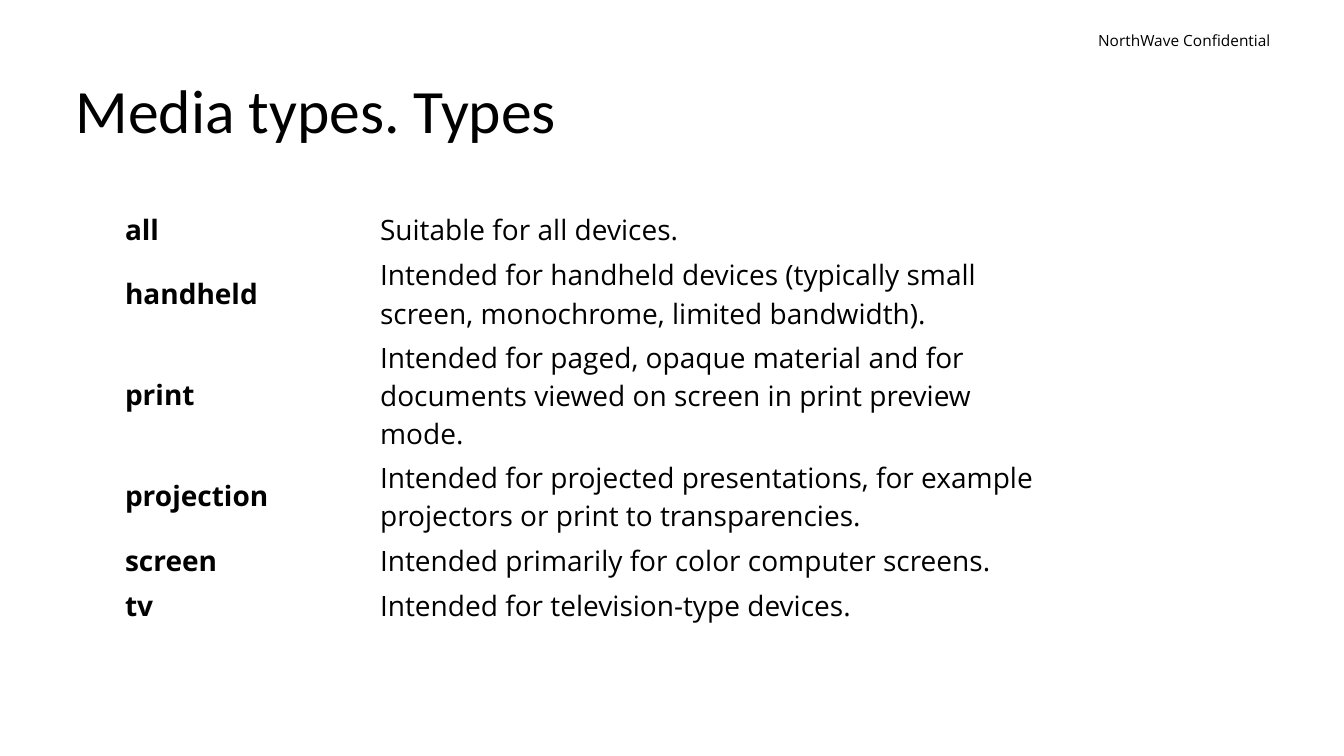
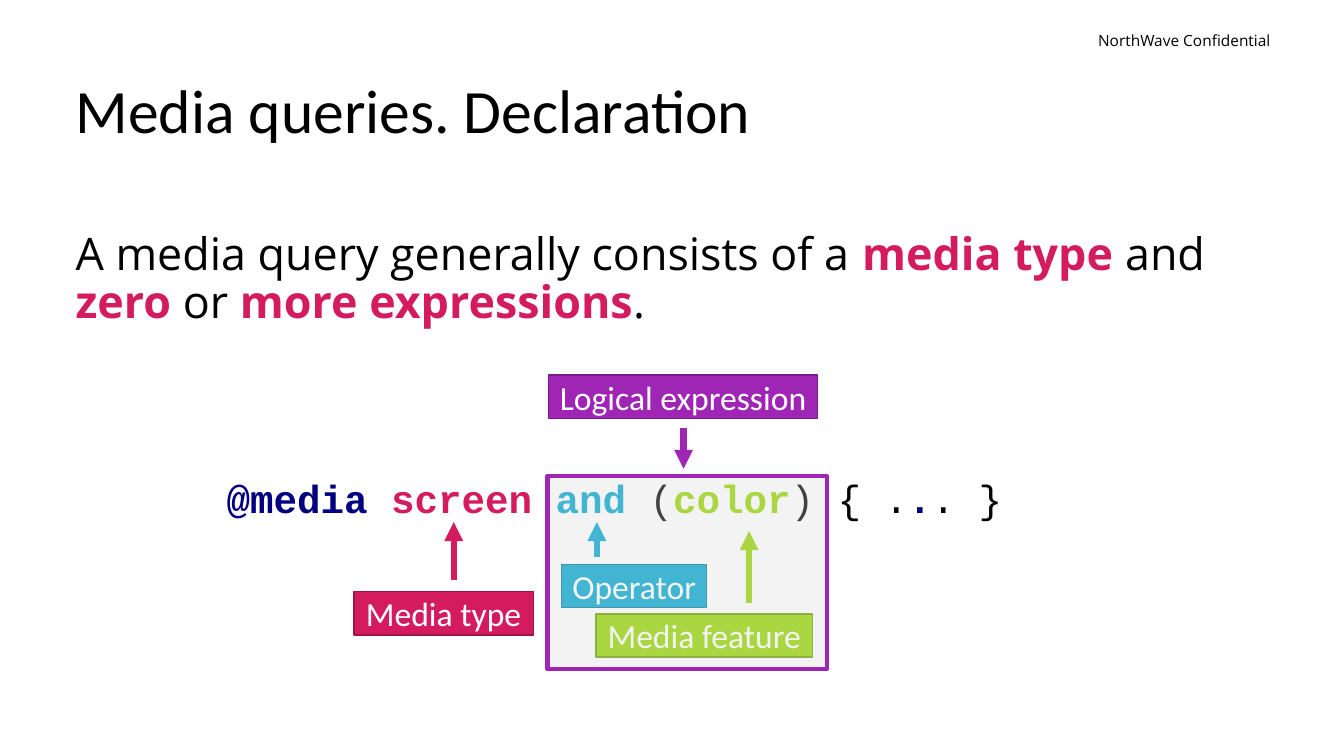
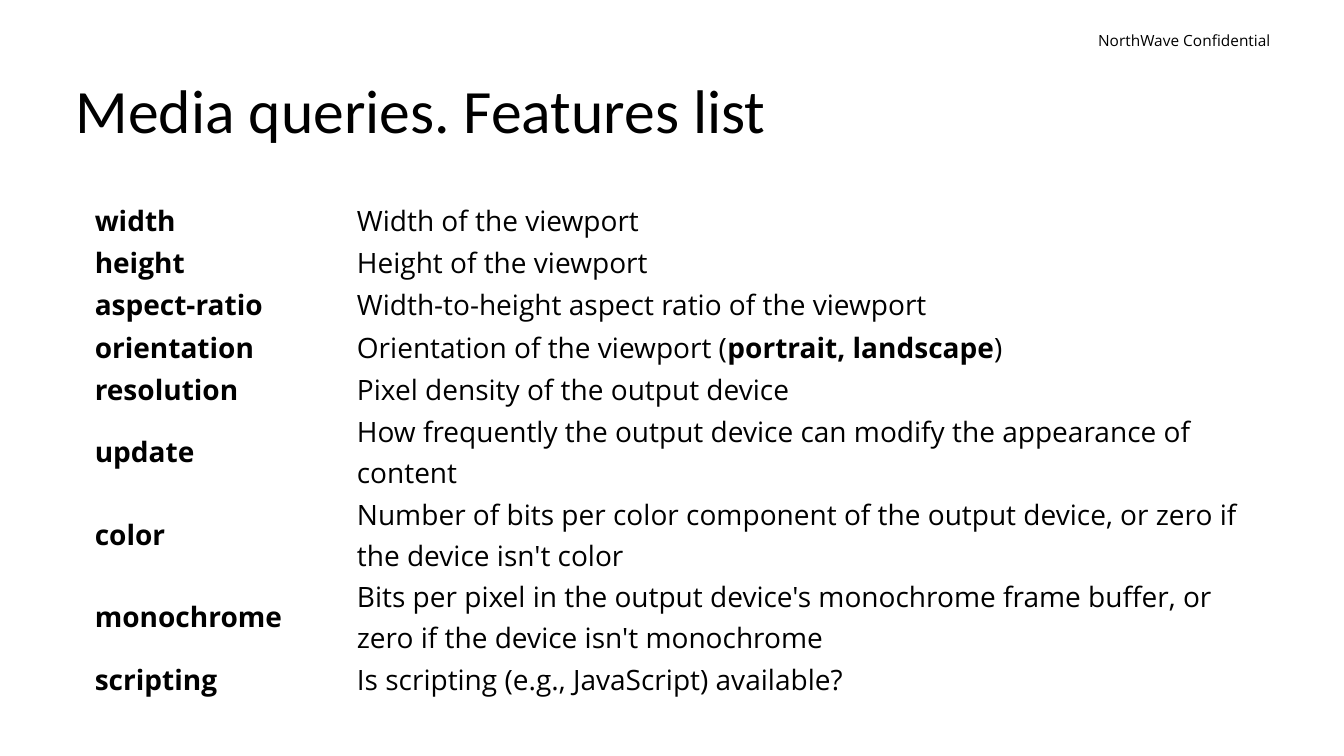
import lxml.etree
import pptx
import pptx.dml.color
import pptx.enum.shapes
import pptx.enum.text
import pptx.oxml.ns
import pptx.util

Inches = pptx.util.Inches
Pt = pptx.util.Pt
qn = pptx.oxml.ns.qn
ALIGN = pptx.enum.text.PP_ALIGN
MIDDLE = pptx.enum.text.MSO_ANCHOR.MIDDLE
TOP = pptx.enum.text.MSO_ANCHOR.TOP
RECTANGLE = pptx.enum.shapes.MSO_SHAPE.RECTANGLE

COLORS = {
    "black": "000000", "white": "FFFFFF", "gray": "D9D9D9", "navy": "000080",
    "crimson": "D41B5D", "crimson_edge": "9D1445",
    "cyan": "00A6CE", "cyan_edge": "007B98",
    "lime": "95D600", "lime_edge": "6E9E00",
    "purple": "9F26B5", "purple_edge": "761C86",
}

CONFIDENTIAL_BOX = (10.38, 0.26, 2.32, 0.29)
TITLE_BOX = (0.75, 0.75, 11.83, 0.75)
BODY_BOX = (0.75, 2.25, 11.83, 3.75)

CONFIDENTIAL_FONT = {"name": "Open Sans", "size": Pt(11), "bold": False}
TITLE_FONT = {"name": "Calibri", "size": Pt(44), "bold": False}
BODY_FONT = {"name": "Open Sans", "size": Pt(32), "bold": False}
TABLE_FONT = {"name": "Open Sans", "size": Pt(20), "bold": False}
CODE_FONT = {"name": "Courier New", "size": Pt(28), "bold": False}
LABEL_FONT = {"name": "Calibri", "size": Pt(24), "bold": False}

FRAME = {"word_wrap": True, "vertical_anchor": TOP}
FLUSH_FRAME = FRAME | {"margin_left": 0}
CENTERED_FRAME = {"word_wrap": False, "vertical_anchor": MIDDLE}

MEDIA_TYPES = {
    "box": (1.16, 2.05), "columns": (2.53, 6.87), "line_height": 0.37,
    "margins": (0.08, 0.04), "paragraph": {},
    "rows": [
        ("all", "Suitable for all devices.", 1),
        ("handheld", "Intended for handheld devices (typically small screen, "
         "monochrome, limited bandwidth).", 2),
        ("print", "Intended for paged, opaque material and for documents viewed "
         "on screen in print preview mode.", 3),
        ("projection", "Intended for projected presentations, for example "
         "projectors or print to transparencies.", 2),
        ("screen", "Intended primarily for color computer screens.", 1),
        ("tv", "Intended for television-type devices.", 1),
    ],
}

MEDIA_FEATURES = {
    "box": (0.92, 1.96), "columns": (2.6, 8.9), "line_height": 0.4,
    "margins": (0.02, 0.01),
    "paragraph": {"line_spacing": 1.07, "space_after": Pt(8)},
    "rows": [
        ("width", "Width of the viewport", 1),
        ("height", "Height of the viewport", 1),
        ("aspect-ratio", "Width-to-height aspect ratio of the viewport", 1),
        ("orientation", [("Orientation of the viewport (", "black", False),
                         ("portrait, landscape", "black", True),
                         (")", "black", False)], 1),
        ("resolution", "Pixel density of the output device", 1),
        ("update", "How frequently the output device can modify the appearance "
         "of content", 2),
        ("color", "Number of bits per color component of the output device, or "
         "zero if the device isn't color", 2),
        ("monochrome", "Bits per pixel in the output device's monochrome frame "
         "buffer, or zero if the device isn't monochrome", 2),
        ("scripting", "Is scripting (e.g., JavaScript) available?", 1),
    ],
}

DECLARATION = [
    ("A media query generally consists of a ", "black", False),
    ("media type", "crimson", True),
    (" and ", "black", False),
    ("zero", "crimson", True),
    (" or ", "black", False),
    ("more expressions", "crimson", True),
    (".", "black", False),
]

QUERY_CODE = [
    ("@media ", "navy", True),
    ("screen ", "crimson", True),
    ("and ", "cyan", True),
    ("(", "black", False),
    ("color", "lime", True),
    (") { .", "black", False),
    (".", "navy", True),
    (". }", "black", False),
]

DIAGRAM_BOX = (2.15, 3.72)
CODE_PLACE = (0, 0.93, 8.25, 0.57)
EXPRESSION_PLACE = (3.28, 1, 2.77, 1.92)
LABEL_HEIGHT = 0.43
QUERY_PARTS = [
    ("Media type", "crimson", (1.36, 2.15, 1.78), (2.35, 2.03, 1.46)),
    ("Operator", "cyan", (3.42, 1.88, 1.44), (3.77, 1.81, 1.46)),
    ("Media feature", "lime", (3.76, 2.37, 2.15), (5.28, 2.26, 1.55)),
]
EXPRESSION_PART = ("Logical expression", "purple", (3.29, 0, 2.67), (4.63, 0.53, 0.93))


def rgb(color):
    """Return the named color."""
    return pptx.dml.color.RGBColor.from_string(COLORS[color])


def apply(target, values):
    """Set attributes from a dict of format values."""
    for attribute, value in values.items():
        setattr(target, attribute, value)


def write(frame, content, font, frame_format, paragraph_format, color="black"):
    """Fill a text frame with one paragraph of plain or mixed text."""
    apply(frame, frame_format)
    paragraph = frame.paragraphs[0]
    apply(paragraph, paragraph_format)
    runs = [(content, color, font["bold"])] if isinstance(content, str) else content
    for text, run_color, bold in runs:
        run = paragraph.add_run()
        run.text = text
        apply(run.font, font | {"bold": bold})
        run.font.color.rgb = rgb(run_color)


def shift(origin, place):
    """Move a place by the origin of its region."""
    return (origin[0] + place[0], origin[1] + place[1], *place[2:])


def add_rectangle(slide, box, fill, edge=None, width=1):
    """Add a flat rectangle, outlined when an edge color is named."""
    rectangle = slide.shapes.add_shape(RECTANGLE, *map(Inches, box))
    rectangle.shadow.inherit = False
    rectangle.fill.solid()
    rectangle.fill.fore_color.rgb = rgb(fill)
    if edge:
        rectangle.line.color.rgb = rgb(edge)
        rectangle.line.width = Pt(width)
    else:
        rectangle.line.fill.background()
    return rectangle


def add_text(slide, box, content, font, frame_format, paragraph_format):
    """Add a text box."""
    text_box = slide.shapes.add_textbox(*map(Inches, box))
    write(text_box.text_frame, content, font, frame_format, paragraph_format)


def add_arrow(slide, x, start, end, color):
    """Add a vertical arrow pointing from start to end."""
    arrow = slide.shapes.add_connector(
        pptx.enum.shapes.MSO_CONNECTOR.STRAIGHT,
        *map(Inches, (x, start, x, end)))
    arrow.line.color.rgb = rgb(color)
    arrow.line.width = Pt(4.5)
    properties = arrow._element.spPr
    lxml.etree.SubElement(properties.find(qn("a:ln")), qn("a:tailEnd"), type="triangle")
    lxml.etree.SubElement(properties, qn("a:effectLst"))


def add_query_part(slide, origin, name, color, label_place, arrow_place):
    """Add a label and the arrow to the code it names."""
    label = add_rectangle(slide, shift(origin, (*label_place, LABEL_HEIGHT)),
                          color, color + "_edge")
    write(label.text_frame, name, LABEL_FONT, CENTERED_FRAME,
          {"alignment": ALIGN.CENTER}, "white")
    x, start, end = arrow_place
    add_arrow(slide, origin[0] + x, origin[1] + start, origin[1] + end, color)


def add_query_diagram(slide, origin):
    """Add the code line, its labels and the frame of the expression."""
    code = add_rectangle(slide, shift(origin, CODE_PLACE), "white")
    write(code.text_frame, QUERY_CODE, CODE_FONT, CENTERED_FRAME,
          {"alignment": ALIGN.LEFT})
    for part in QUERY_PARTS:
        add_query_part(slide, origin, *part)
    expression = add_rectangle(slide, shift(origin, EXPRESSION_PLACE),
                               "gray", "purple", 3)
    fill_color = expression._element.spPr.find(qn("a:solidFill")).find(qn("a:srgbClr"))
    lxml.etree.SubElement(fill_color, qn("a:alpha"), val="30000")
    add_query_part(slide, origin, *EXPRESSION_PART)


def add_definitions(slide, box, columns, line_height, margins, paragraph, rows):
    """Add a plain table of bold terms and their descriptions."""
    side, edge = margins
    heights = [lines * line_height + 2 * edge for _, _, lines in rows]
    table = slide.shapes.add_table(
        len(rows), len(columns),
        *map(Inches, (*box, sum(columns), sum(heights)))).table
    apply(table, {"first_row": False, "horz_banding": False})
    for column, width in zip(table.columns, columns):
        column.width = Inches(width)
    cell_format = {
        "vertical_anchor": MIDDLE,
        "margin_left": Inches(side), "margin_right": Inches(side),
        "margin_top": Inches(edge), "margin_bottom": Inches(edge),
    }
    for row, height, (term, description, _) in zip(table.rows, heights, rows):
        row.height = Inches(height)
        for cell, content, bold in zip(row.cells, (term, description), (True, False)):
            cell.fill.background()
            apply(cell, cell_format)
            write(cell.text_frame, content, TABLE_FONT | {"bold": bold}, {}, paragraph)


def add_titled_slide(presentation, heading):
    """Add a slide with the shared title and confidentiality mark."""
    slide = presentation.slides.add_slide(presentation.slide_layouts[5])
    title = slide.shapes.title
    apply(title, dict(zip(("left", "top", "width", "height"), map(Inches, TITLE_BOX))))
    write(title.text_frame, heading, TITLE_FONT,
          FLUSH_FRAME | {"vertical_anchor": MIDDLE},
          {"alignment": ALIGN.LEFT, "line_spacing": 0.9})
    add_text(slide, CONFIDENTIAL_BOX, "NorthWave Confidential", CONFIDENTIAL_FONT,
             FRAME, {"alignment": ALIGN.RIGHT})
    return slide


def main():
    """Build and save the presentation."""
    presentation = pptx.Presentation()
    apply(presentation, {"slide_width": Inches(13.33), "slide_height": Inches(7.5)})

    add_definitions(add_titled_slide(presentation, "Media types. Types"), **MEDIA_TYPES)

    declaration = add_titled_slide(presentation, "Media queries. Declaration")
    add_text(declaration, BODY_BOX, DECLARATION, BODY_FONT, FLUSH_FRAME,
             {"line_spacing": 0.9})
    add_query_diagram(declaration, DIAGRAM_BOX)

    add_definitions(add_titled_slide(presentation, "Media queries. Features list"),
                    **MEDIA_FEATURES)
    presentation.save("out.pptx")


if __name__ == "__main__":
    main()
